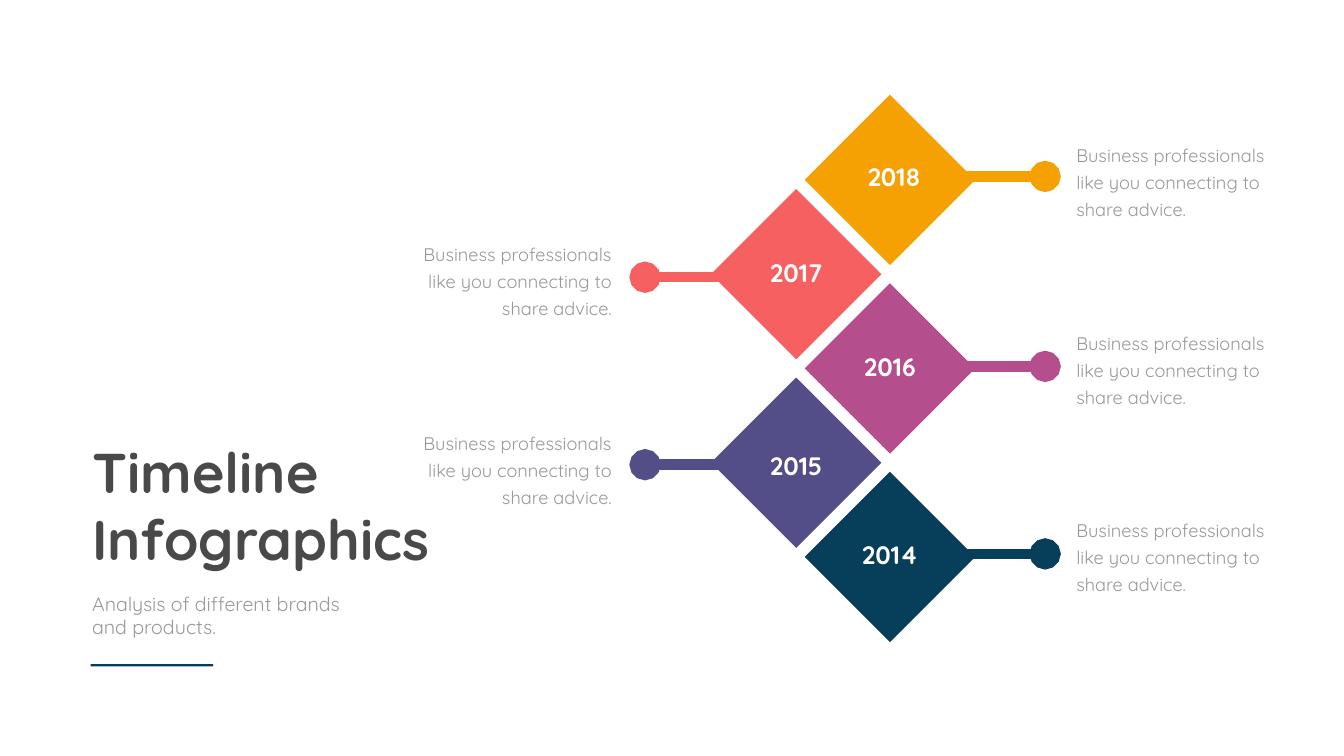
import pptx
import pptx.util
import pptx.dml.color
import pptx.enum.shapes
import pptx.enum.text
import pptx.oxml
import pptx.oxml.ns

PX = 9144
FONT = "Quicksand"
COLORS = {
    "title": "494949", "body": "999999", "white": "FFFFFF", "amber": "F6A103",
    "coral": "F76061", "plum": "B54E8D", "violet": "534D88", "navy": "073E59",
}
ADVICE = "Business professionals like you connecting to share advice."
DIAMOND = 338
STEP = 187
ALIGN = pptx.enum.text.PP_ALIGN
SHAPES = pptx.enum.shapes.MSO_SHAPE

MILESTONES = [
    {"year": "2018", "color": "amber", "year_at": (8, 127), "stem_y": 162, "advice_y": 83},
    {"year": "2017", "color": "coral", "year_at": (0, 131), "stem_y": 175, "advice_y": 93},
    {"year": "2016", "color": "plum", "year_at": (0, 131), "stem_y": 165, "advice_y": 83},
    {"year": "2015", "color": "violet", "year_at": (0, 139), "stem_y": 173, "advice_y": 93},
    {"year": "2014", "color": "navy", "year_at": (0, 130), "stem_y": 163, "advice_y": 80},
]
SIDES = {
    "right": {"left": 1597, "stem": (252, 477), "advice": (529, 424), "align": ALIGN.LEFT},
    "left": {"left": 1411, "stem": (95, -131), "advice": (-601, 414), "align": ALIGN.RIGHT},
}


def emu(*lengths):
    """Turn px lengths into EMU."""
    return [pptx.util.Emu(length * PX) for length in lengths]


def rgb(name):
    """Look up a palette colour."""
    return pptx.dml.color.RGBColor.from_string(COLORS[name])


def format_text(frame, size, color, bold=False, align=ALIGN.LEFT, spacing=1.0):
    """Apply one style to every paragraph of a text frame."""
    frame.word_wrap = True
    frame.auto_size = pptx.enum.text.MSO_AUTO_SIZE.NONE
    frame.vertical_anchor = pptx.enum.text.MSO_ANCHOR.TOP
    for paragraph in frame.paragraphs:
        paragraph.alignment = align
        paragraph.line_spacing = spacing
        paragraph.space_before = pptx.util.Pt(0)
        paragraph.font.name = FONT
        paragraph.font.size = pptx.util.Pt(size)
        paragraph.font.bold = bold
        paragraph.font.color.rgb = rgb(color)


def add_text(slide, box, text, size, color, **style):
    """Add a wrapped, formatted text box."""
    frame = slide.shapes.add_textbox(*emu(*box)).text_frame
    frame.text = text
    format_text(frame, size, color, **style)


def add_filled(slide, kind, box, color):
    """Add a flat preset shape without an outline."""
    shape = slide.shapes.add_shape(kind, *emu(*box))
    shape.shadow.inherit = False
    shape.fill.solid()
    shape.fill.fore_color.rgb = rgb(color)
    shape.line.fill.background()


def add_stem(slide, start, end, y, color):
    """Add a thick horizontal line ending in a dot."""
    stem = slide.shapes.add_connector(
        pptx.enum.shapes.MSO_CONNECTOR.STRAIGHT, *emu(start, y, end, y))
    stem.line.color.rgb = rgb(color)
    stem.line.width = pptx.util.Pt(15)
    dot = pptx.oxml.ns.qn("a:tailEnd")
    stem.line._get_or_add_ln().append(stem._element.makeelement(dot, {"type": "oval"}))
    effects = pptx.oxml.ns.qn("a:effectLst")
    stem._element.spPr.append(stem._element.makeelement(effects, {}))


def add_heading(slide, left, top):
    """Place the title, its subtitle and the accent rule."""
    title = slide.shapes.title
    title.left, title.top, title.width, title.height = emu(left, top, 706, 279)
    title.text_frame.text = "Timeline\nInfographics"
    format_text(title.text_frame, 80, "title", bold=True)
    add_text(slide, (left, top + 306, 534, 104),
             "Analysis of different brands and products.", 28, "body")
    add_filled(slide, SHAPES.RECTANGLE, (left + 7, top + 455, 243, 4), "navy")


def add_milestone(slide, top, side, milestone):
    """Place one stem, diamond, year and advice text."""
    left = side["left"]
    start, end = side["stem"]
    add_stem(slide, left + start, left + end, top + milestone["stem_y"], milestone["color"])
    add_filled(slide, SHAPES.DIAMOND, (left, top, DIAMOND, DIAMOND), milestone["color"])
    year_x, year_y = milestone["year_at"]
    add_text(slide, (left + year_x, top + year_y, DIAMOND, 71), milestone["year"],
             36, "white", bold=True, align=ALIGN.CENTER)
    advice_x, advice_width = side["advice"]
    add_text(slide, (left + advice_x, top + milestone["advice_y"], advice_width, 170),
             ADVICE, 26, "body", align=side["align"], spacing=pptx.util.Pt(38.6))


def main():
    """Build the timeline slide."""
    deck = pptx.Presentation()
    deck.slide_width, deck.slide_height = emu(2667, 1500)
    slide = deck.slides.add_slide(deck.slide_layouts.get_by_name("Title Only"))
    add_heading(slide, 173, 863)
    for index, milestone in enumerate(MILESTONES):
        side = SIDES["left" if index % 2 else "right"]
        add_milestone(slide, 188 + index * STEP, side, milestone)
    deck.save("out.pptx")


if __name__ == "__main__":
    main()
